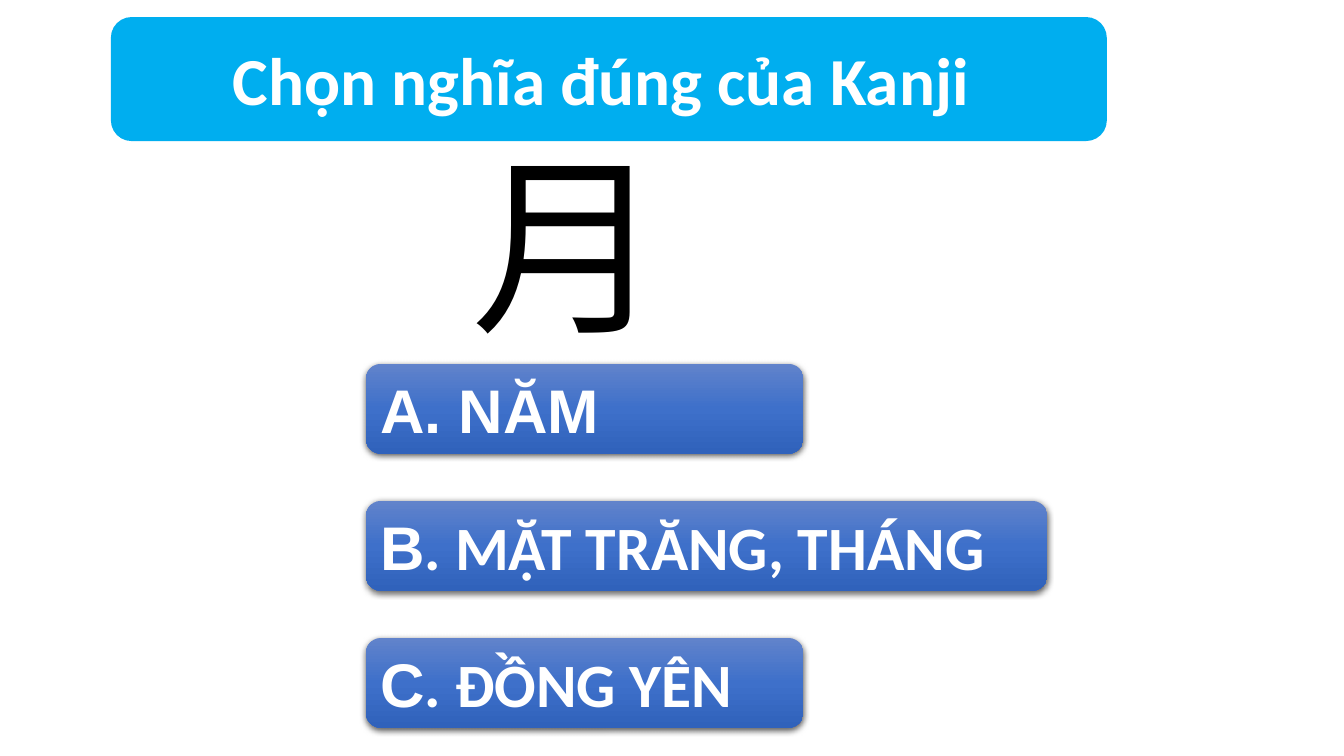
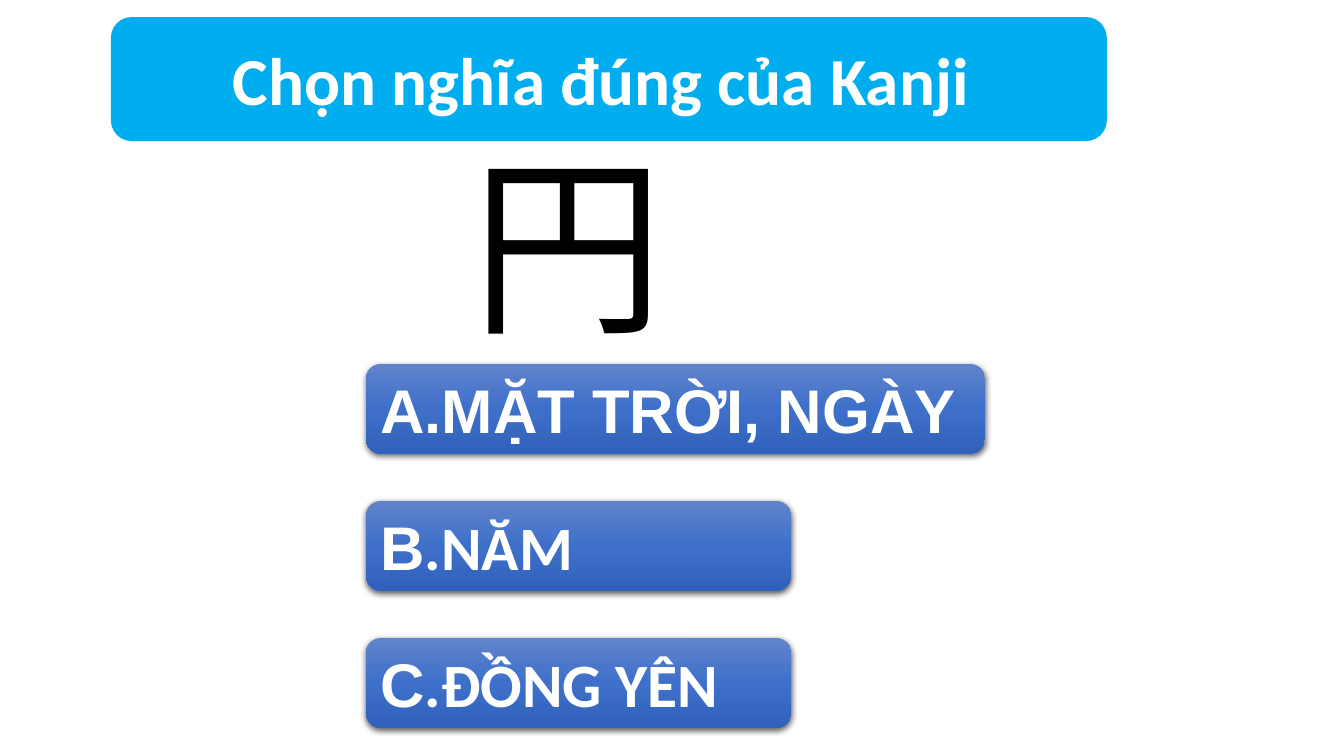
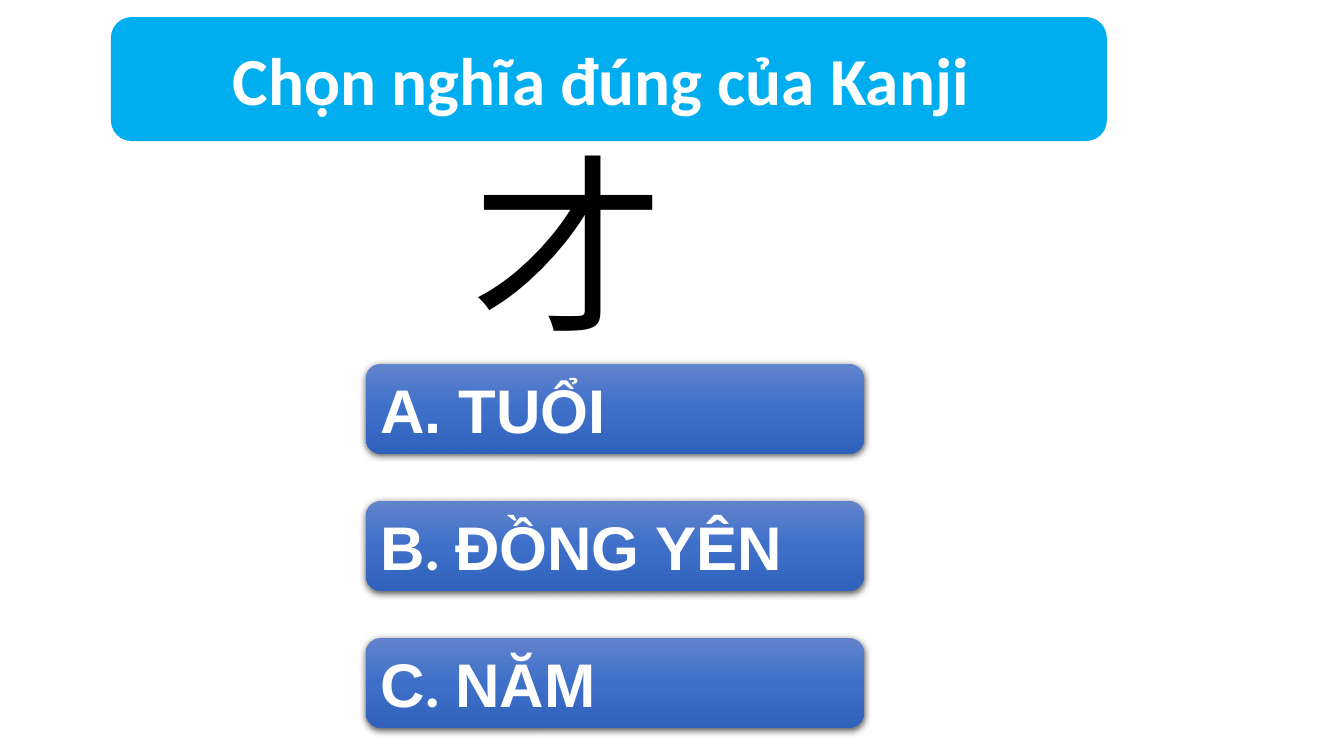
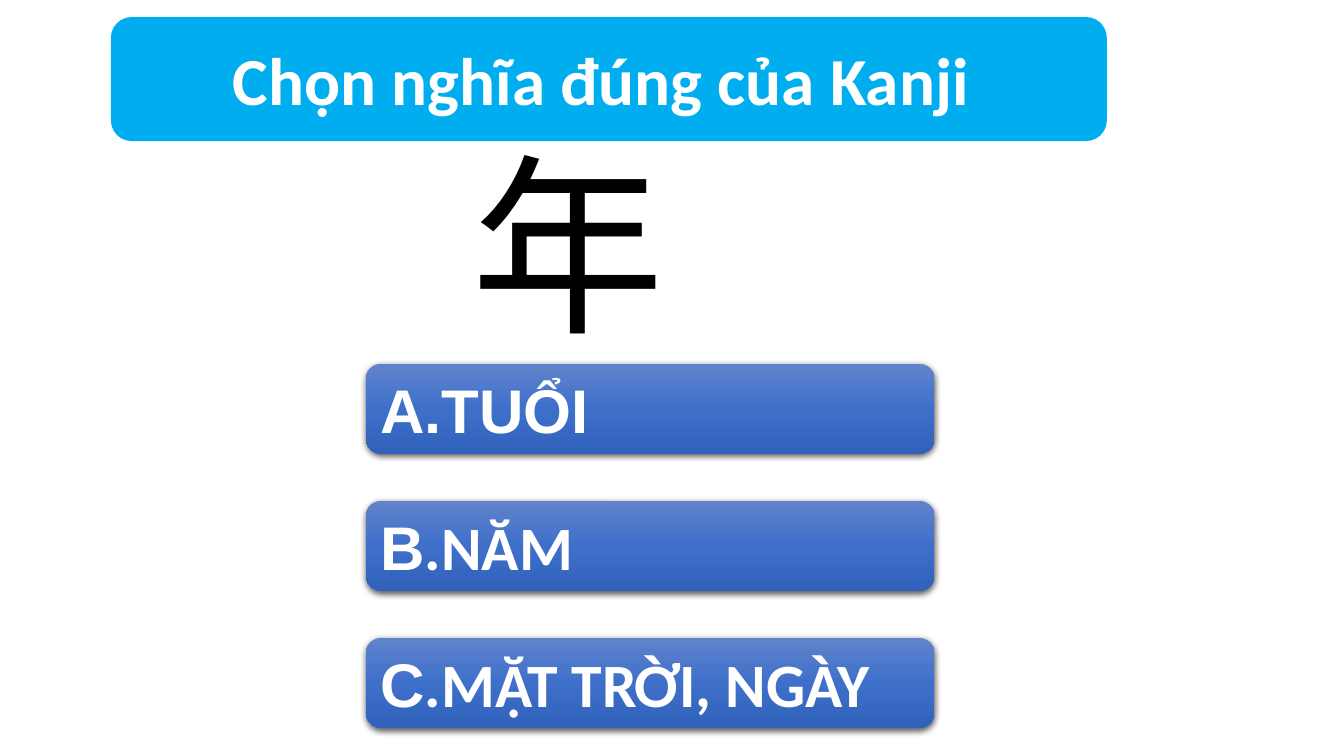
from copy import deepcopy
from itertools import cycle

from lxml import etree
from pptx import Presentation
from pptx.dml.color import RGBColor
from pptx.enum import shapes, text
from pptx.oxml.ns import qn
from pptx.util import Pt

TITLE = "Chọn nghĩa đúng của Kanji "
QUESTIONS = [
    ("月", [(312.5, ["A. NĂM "]),
           (486.7, ["B", ". MẶT TRĂNG, THÁNG"]),
           (312.5, ["C", ". ĐỒNG YÊN"])]),
    ("円", [(442.1, ["A.MẶT TRỜI, NGÀY"]),
           (303.8, ["B", ".NĂM "]),
           (303.8, ["C", ".ĐỒNG YÊN"])]),
    ("才", [(355.7, ["A. TUỔI "]),
           (355.7, ["B", ". ", "ĐỒNG YÊN "]),
           (355.7, ["C", ". ", "NĂM "])]),
    ("年", [(406.1, ["A.TUỔI"]),
           (406.1, ["B", ".NĂM "]),
           (406.1, ["C", ".MẶT TRỜI, NGÀY"])]),
]

CYAN = RGBColor(0x00, 0xAE, 0xEF)
WHITE = RGBColor(0xFF, 0xFF, 0xFF)
BLACK = RGBColor(0x00, 0x00, 0x00)
ANSWER_BLUES = [RGBColor(0x61, 0x83, 0xCB), RGBColor(0x3E, 0x70, 0xCA),
                RGBColor(0x30, 0x62, 0xBB)]
ANSWER_FONTS = ["Arial", "Calibri"]
KANJI_FONT = "Noto Sans CJK JP"

ANSWER_LEFT, ANSWER_TOP, ANSWER_HEIGHT, ANSWER_STEP = 261.4, 259.9, 64.1, 97.9


def add_run(paragraph, words, font, size, color, bold):
    run = paragraph.add_run()
    run.text = words
    run.font.name, run.font.size, run.font.bold = font, Pt(size), bold
    run.font.color.rgb = color
    return run


def add_panel(slide, left, top, width, height, alignment):
    shape = slide.shapes.add_shape(shapes.MSO_SHAPE.ROUNDED_RECTANGLE,
                                   Pt(left), Pt(top), Pt(width), Pt(height))
    shape.shadow.inherit = False
    shape.line.fill.background()
    shape.text_frame.vertical_anchor = text.MSO_ANCHOR.MIDDLE
    shape.text_frame.word_wrap = True
    shape.text_frame.paragraphs[0].alignment = alignment
    return shape


def fill_gradient(shape, colors):
    shape.fill.gradient()
    shape.fill.gradient_angle = 270
    stop_list = shape._element.spPr.find(".//" + qn("a:gsLst"))
    while len(stop_list) < len(colors):
        stop_list.append(deepcopy(stop_list[0]))
    for index, stop in enumerate(shape.fill.gradient_stops):
        stop.position = index / (len(colors) - 1)
        stop.color.rgb = colors[index]


def add_shadow(shape):
    effects = shape._element.spPr.find(qn("a:effectLst"))
    shadow = etree.SubElement(effects, qn("a:outerShdw"), blurRad=str(Pt(4.5)),
                              dist=str(Pt(1.5)), dir="5400000", rotWithShape="0")
    color = etree.SubElement(shadow, qn("a:srgbClr"), val=str(BLACK))
    etree.SubElement(color, qn("a:alpha"), val="63000")


def add_title(slide):
    shape = add_panel(slide, 79.2, 12.2, 711.4, 88.6, text.PP_ALIGN.CENTER)
    shape.fill.solid()
    shape.fill.fore_color.rgb = CYAN
    add_run(shape.text_frame.paragraphs[0], TITLE, "Calibri", 48, WHITE, True)


def add_kanji(slide, kanji):
    box = slide.shapes.add_textbox(Pt(329.8), Pt(85.7), Pt(149.8), Pt(174.2))
    box.text_frame.word_wrap = True
    box.text_frame.auto_size = text.MSO_AUTO_SIZE.SHAPE_TO_FIT_TEXT
    run = add_run(box.text_frame.paragraphs[0], kanji, KANJI_FONT, 138, BLACK, False)
    etree.SubElement(run.font._element, qn("a:ea"), typeface=KANJI_FONT)


def add_answer(slide, row, width, pieces):
    shape = add_panel(slide, ANSWER_LEFT, ANSWER_TOP + row * ANSWER_STEP,
                      width, ANSWER_HEIGHT, text.PP_ALIGN.LEFT)
    fill_gradient(shape, ANSWER_BLUES)
    add_shadow(shape)
    for words, font in zip(pieces, cycle(ANSWER_FONTS)):
        add_run(shape.text_frame.paragraphs[0], words, font, 44, WHITE, True)


presentation = Presentation()
presentation.slide_width, presentation.slide_height = Pt(960), Pt(540)
for kanji, answers in QUESTIONS:
    slide = presentation.slides.add_slide(presentation.slide_layouts[6])
    add_title(slide)
    add_kanji(slide, kanji)
    for row, (width, pieces) in enumerate(answers):
        add_answer(slide, row, width, pieces)
presentation.save("out.pptx")
